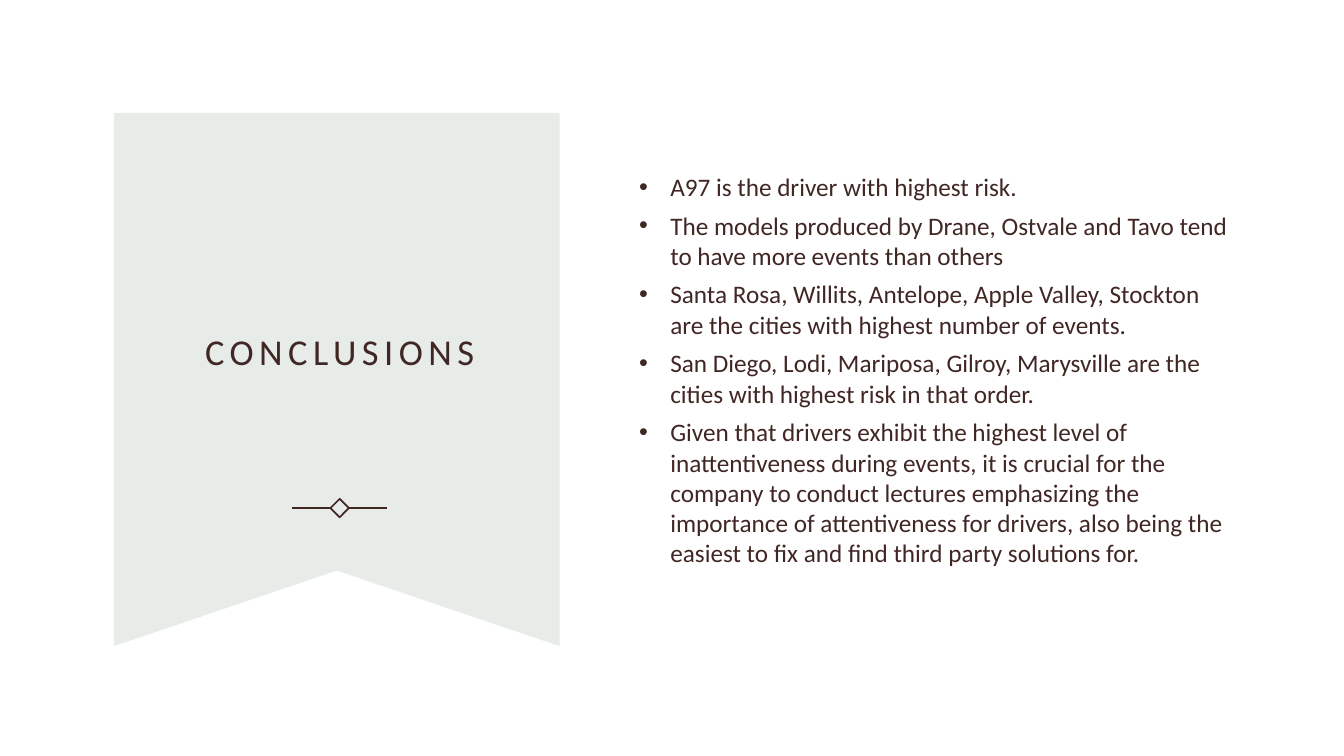
import pptx
import pptx.util
import pptx.dml.color
import pptx.enum.shapes
import pptx.enum.text
import pptx.oxml.ns
import lxml.etree

TITLE = "CONCLUSIONS"
POINTS = [
    "A97 is the driver with highest\u00a0risk.".replace("\u00a0", " "),
    "The models produced by Drane, Ostvale and Tavo tend to have more events than others",
    "Santa Rosa, Willits, Antelope, Apple Valley, Stockton are the cities with highest number of events.",
    "San Diego, Lodi, Mariposa, Gilroy, Marysville are the cities with highest risk in that order.",
    "Given that drivers exhibit the highest level of inattentiveness during events, it is crucial for the "
    "company to conduct lectures emphasizing the importance of attentiveness for drivers, also being the "
    "easiest to fix and find third party solutions for.",
]
COLORS = {"paper": "FFFFFF", "banner": "E2E8E4", "ink": "412724"}
FONT = "Calibri"
BANNER = (1.13, 1.12, 4.42, 5.29)
NOTCH = 0.75
TITLE_BOX = (1.35, 3.09, 4.04, 0.66)
POINTS_BOX = (6.24, 1.65, 6.12, 4.16)
ORNAMENT = {"x": 3.37, "y": 5.04, "side": 0.13, "gap": 0.09, "reach": 0.47}
LINE_WIDTH = 1.25
INDENT = 0.31

inch = pptx.util.Inches
qn = pptx.oxml.ns.qn


def rgb(name):
    return pptx.dml.color.RGBColor.from_string(COLORS[name])


def add_text_frame(s, box):
    tf = s.shapes.add_textbox(*map(inch, box)).text_frame
    tf.word_wrap = True
    return tf


def add_run(p, text, size):
    r = p.add_run()
    r.text = text
    r.font.name = FONT
    r.font.size = pptx.util.Pt(size)
    r.font.color.rgb = rgb("ink")
    return r


def style_line(line):
    line.color.rgb = rgb("ink")
    line.width = pptx.util.Pt(LINE_WIDTH)


def add_banner(s):
    left, top, width, height = BANNER
    right, bottom = left + width, top + height
    outline = [(right, top), (right, bottom), (left + width / 2, bottom - NOTCH), (left, bottom)]
    fb = s.shapes.build_freeform(inch(left), inch(top))
    fb.add_line_segments([(inch(x), inch(y)) for x, y in outline], close=True)
    sp = fb.convert_to_shape()
    sp.shadow.inherit = False
    sp.fill.solid()
    sp.fill.fore_color.rgb = rgb("banner")
    sp.line.fill.background()
    color = sp._element.spPr.find(qn("a:solidFill")).find(qn("a:srgbClr"))
    lxml.etree.SubElement(color, qn("a:alpha")).set("val", "81000")


def add_ornament(s):
    x, y, side = ORNAMENT["x"], ORNAMENT["y"], ORNAMENT["side"]
    sp = s.shapes.add_shape(
        pptx.enum.shapes.MSO_SHAPE.RECTANGLE,
        inch(x - side / 2), inch(y - side / 2), inch(side), inch(side),
    )
    sp.rotation = 315
    sp.shadow.inherit = False
    sp.fill.background()
    style_line(sp.line)
    for direction in (-1, 1):
        start, end = (x + direction * ORNAMENT[k] for k in ("gap", "reach"))
        cx = s.shapes.add_connector(
            pptx.enum.shapes.MSO_CONNECTOR.STRAIGHT, inch(start), inch(y), inch(end), inch(y)
        )
        style_line(cx.line)
        lxml.etree.SubElement(cx._element.spPr, qn("a:effectLst"))


def add_title(s):
    tf = add_text_frame(s, TITLE_BOX)
    tf.vertical_anchor = pptx.enum.text.MSO_ANCHOR.BOTTOM
    p = tf.paragraphs[0]
    p.alignment = pptx.enum.text.PP_ALIGN.CENTER
    p.line_spacing = 1.1
    r = add_run(p, TITLE, 26)
    r._r.get_or_add_rPr().set("spc", "390")


def add_points(s):
    tf = add_text_frame(s, POINTS_BOX)
    for i, text in enumerate(POINTS):
        p = tf.add_paragraph() if i else tf.paragraphs[0]
        p.space_after = pptx.util.Pt(6)
        pPr = p._p.get_or_add_pPr()
        pPr.set("marL", str(inch(INDENT)))
        pPr.set("indent", str(-inch(INDENT)))
        lxml.etree.SubElement(pPr, qn("a:buFont")).set("typeface", "Arial")
        lxml.etree.SubElement(pPr, qn("a:buChar")).set("char", "•")
        add_run(p, text, 18)


def main():
    prs = pptx.Presentation()
    prs.slide_width, prs.slide_height = inch(13.33), inch(7.5)
    s = prs.slides.add_slide(prs.slide_layouts[6])
    s.background.fill.solid()
    s.background.fill.fore_color.rgb = rgb("paper")
    add_banner(s)
    add_ornament(s)
    add_title(s)
    add_points(s)
    prs.save("out.pptx")


if __name__ == "__main__":
    main()
